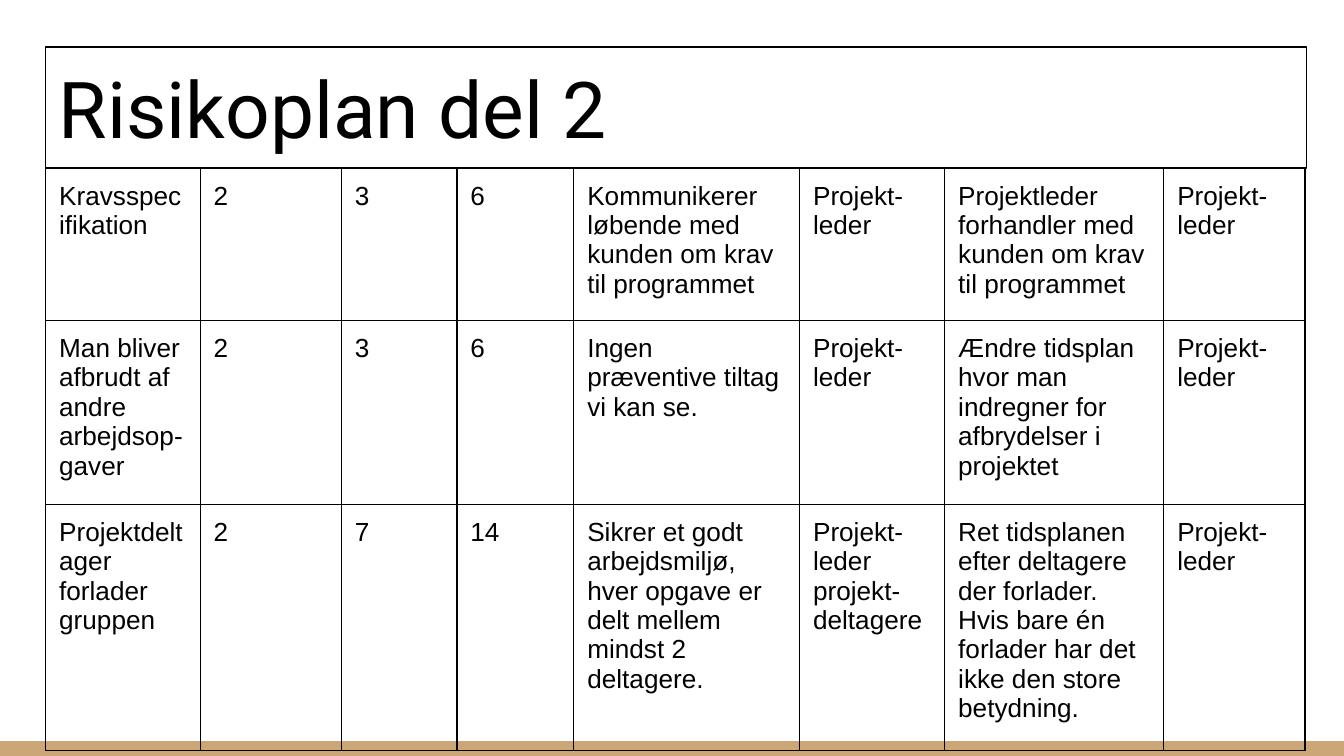
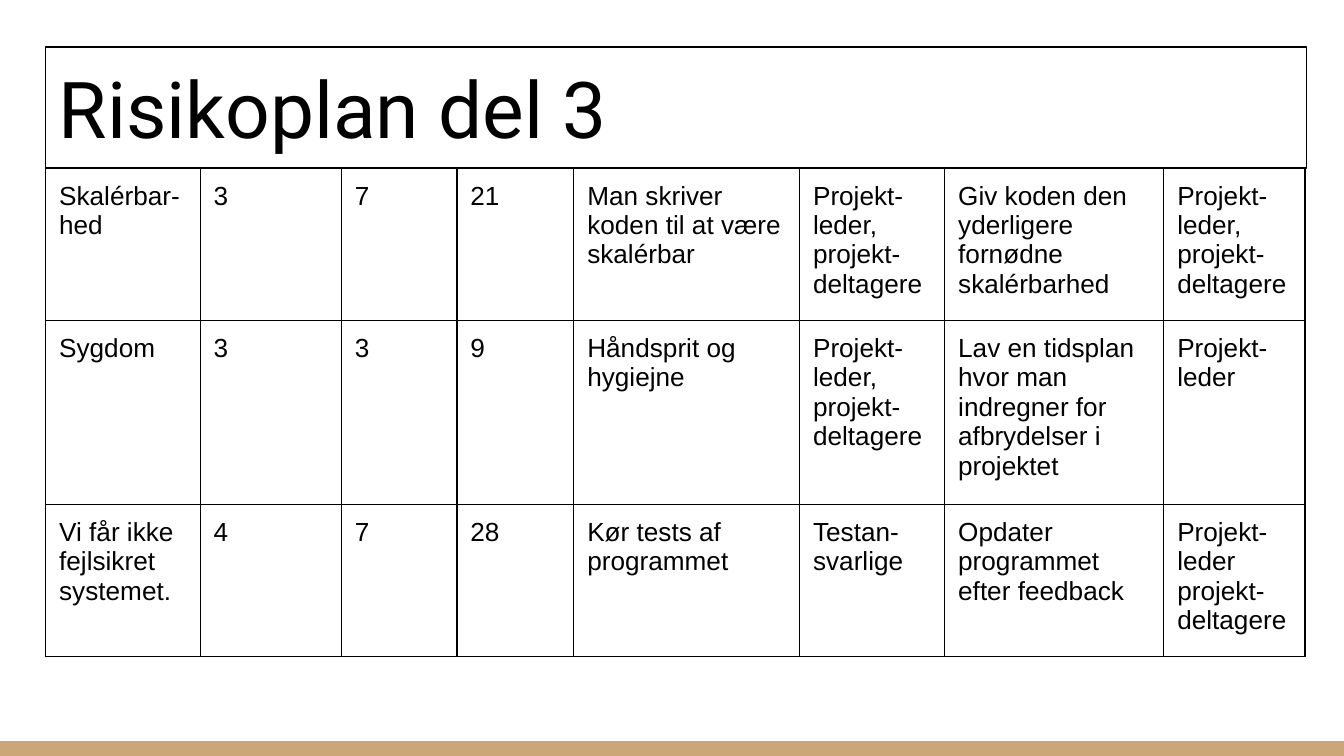
from lxml import etree
from pptx import Presentation
from pptx.dml.color import RGBColor
from pptx.enum.shapes import MSO_SHAPE
from pptx.enum.text import MSO_ANCHOR
from pptx.oxml.ns import qn
from pptx.util import Inches, Pt

RECT = MSO_SHAPE.RECTANGLE
BOTTOM = MSO_ANCHOR.BOTTOM
BLACK = RGBColor(0, 0, 0)
TAN = RGBColor(0xCC, 0xA6, 0x77)

WIDE = 10
HIGH = WIDE * 9 / 16
LEFT, TOP = 0.34, 0.35
SPAN, HEAD = 9.38, 0.9
BAND = 0.11
PAD = Inches(0.1)
RULE = Pt(0.75)
COLS = [1.15, 1.05, 0.86, 0.87, 1.68, 1.08, 1.63, 1.05]

LEAD = "Projekt-\nleder"
TEAM = "Projekt-\nleder\nprojekt-\ndeltagere"
BOTH = "Projekt-\nleder,\nprojekt-\ndeltagere"

# Each slide: title, row heights, rows of cells
PLANS = [
    ("Risikoplan del 2", [0.97, 1.22, 1.71], [
        ["Kravsspecifikation", "2", "3", "6",
         "Kommunikerer løbende med kunden om krav til programmet", LEAD,
         "Projektleder forhandler med kunden om krav til programmet", LEAD],
        ["Man bliver afbrudt af andre arbejdsop-gaver", "2", "3", "6",
         "Ingen præventive tiltag vi kan se.", LEAD,
         "Ændre tidsplan hvor man indregner for afbrydelser i projektet", LEAD],
        ["Projektdeltager forlader gruppen", "2", "7", "14",
         "Sikrer et godt arbejdsmiljø, hver opgave er delt mellem mindst 2 deltagere.",
         TEAM,
         "Ret tidsplanen efter deltagere der forlader.\n"
         "Hvis bare én forlader har det ikke den store betydning.", LEAD],
    ]),
    ("Risikoplan del 3", [0.99, 0.52, 0.52], [
        ["Skalérbar-hed", "3", "7", "21",
         "Man skriver koden til at være skalérbar", BOTH,
         "Giv koden den yderligere fornødne skalérbarhed", BOTH],
        ["Sygdom", "3", "3", "9", "Håndsprit og hygiejne", BOTH,
         "Lav en tidsplan hvor man indregner for afbrydelser i projektet", LEAD],
        ["Vi får ikke fejlsikret systemet.", "4", "7", "28",
         "Kør tests af programmet", "Testan-\nsvarlige",
         "Opdater programmet efter feedback", TEAM],
    ]),
]


def write(frame, text, size=14, font="Arial", color=BLACK):
    """Fill a text frame, one paragraph per line of text."""
    frame.text = text
    frame.word_wrap = True
    for para in frame.paragraphs:
        for run in para.runs:
            run.font.size = Pt(size)
            run.font.name = font
            run.font.color.rgb = color
        # The paragraph mark sets the line height too
        etree.SubElement(para._p, qn("a:endParaRPr"), sz=str(size * 100))


def border(cell):
    """Draw a thin black line on all four sides of a cell."""
    props = cell._tc.get_or_add_tcPr()
    for side in ("a:lnL", "a:lnR", "a:lnT", "a:lnB"):
        line = etree.SubElement(props, qn(side), w=str(RULE))
        fill = etree.SubElement(line, qn("a:solidFill"))
        etree.SubElement(fill, qn("a:srgbClr"), val=str(BLACK))


deck = Presentation()
deck.slide_width, deck.slide_height = Inches(WIDE), Inches(HIGH)
blank = deck.slide_layouts[6]

for title, highs, rows in PLANS:
    slide = deck.slides.add_slide(blank)

    band = slide.shapes.add_shape(
        RECT, 0, Inches(HIGH - BAND), Inches(WIDE), Inches(BAND))
    band.shadow.inherit = False
    band.fill.solid()
    band.fill.fore_color.rgb = TAN
    band.line.fill.background()

    head = slide.shapes.add_textbox(
        Inches(LEFT), Inches(TOP), Inches(SPAN), Inches(HEAD))
    head.line.color.rgb = BLACK
    head.line.width = RULE
    frame = head.text_frame
    frame.vertical_anchor = BOTTOM
    frame.margin_left = frame.margin_right = PAD
    frame.margin_top = frame.margin_bottom = PAD
    write(frame, title, size=42, font="Roboto")

    table = slide.shapes.add_table(
        len(rows), len(COLS), Inches(LEFT), Inches(TOP + HEAD),
        Inches(SPAN), Inches(sum(highs))).table
    table.first_row = table.horz_banding = False
    for col, width in zip(table.columns, COLS):
        col.width = Inches(width)
    for row, high, texts in zip(table.rows, highs, rows):
        row.height = Inches(high)
        for cell, text in zip(row.cells, texts):
            cell.margin_left = cell.margin_right = PAD
            cell.margin_top = cell.margin_bottom = PAD
            border(cell)
            cell.fill.background()
            write(cell.text_frame, text)

deck.save("out.pptx")
